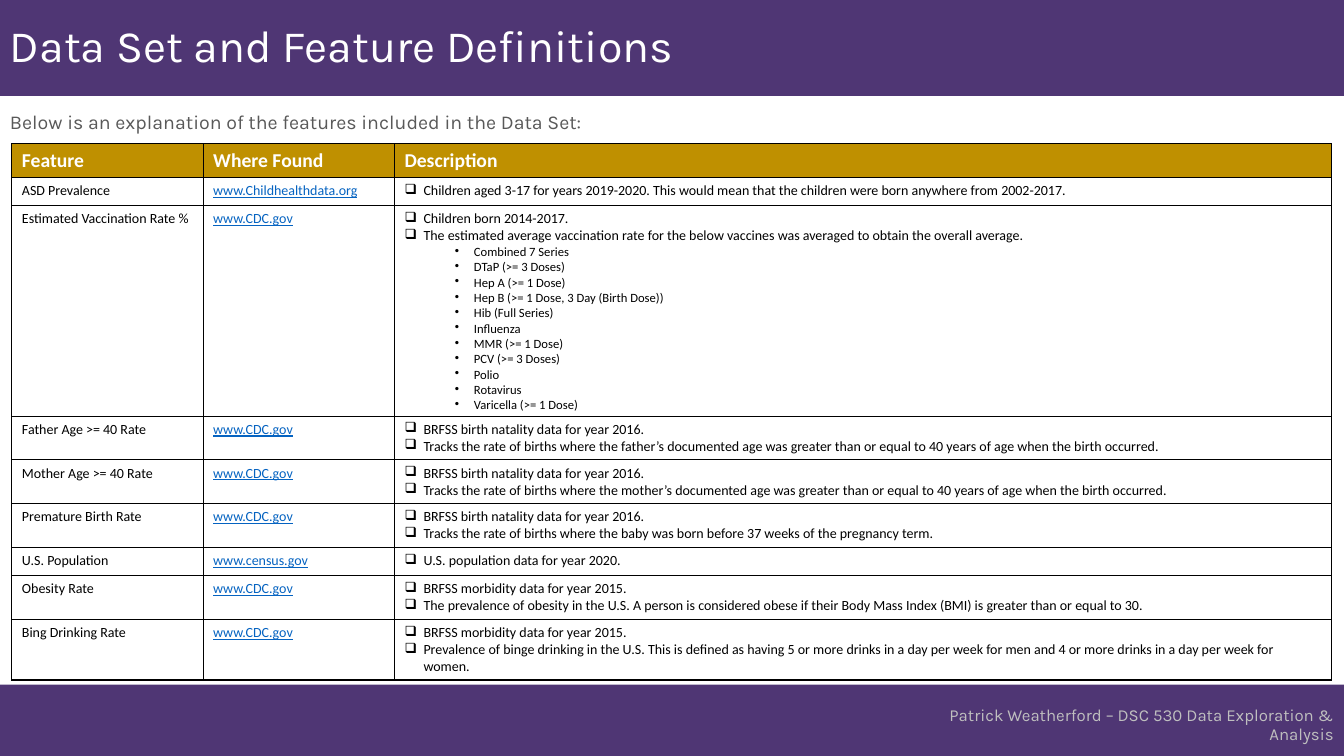
from lxml.etree import SubElement
from pptx import Presentation
from pptx.dml.color import RGBColor
from pptx.enum.shapes import MSO_SHAPE as Shape
from pptx.enum.text import MSO_ANCHOR as Anchor, PP_ALIGN as Align
from pptx.oxml.ns import qn
from pptx.util import Cm, Pt

PURPLE, GOLD, WHITE, BLACK = "4F3674", "BF9000", "FFFFFF", "000000"
GREY, SILVER, LINK = "595959", "BFBFBF", "0563C1"
WIDTH, HEIGHT = 33.87, 19.05

HEADINGS = ["Feature", "Where Found", "Description"]
COLUMN_WIDTHS = [4.82, 4.82, 23.62]
ROW_HEIGHTS = [0.85, 0.71, 5.2, 1.1, 1.1, 1.1, 0.71, 1.1, 1.5]
CDC = "www.CDC.gov"
NATALITY = "BRFSS birth natality data for year 2016."
MORBIDITY = "BRFSS morbidity data for year 2015."
VACCINES = [
    "Combined 7 Series", "DTaP (>= 3 Doses)", "Hep A (>= 1 Dose)",
    "Hep B (>= 1 Dose, 3 Day (Birth Dose))", "Hib (Full Series)", "Influenza",
    "MMR (>= 1 Dose)", "PCV (>= 3 Doses)", "Polio", "Rotavirus",
    "Varicella (>= 1 Dose)",
]


def parent_age(parent):
    return (f"Tracks the rate of births where the {parent}’s documented age was greater "
            "than or equal to 40 years of age when the birth occurred.")


# Feature, source, main points, sub-points
FEATURES = [
    ("ASD Prevalence", "www.Childhealthdata.org",
     ["Children aged 3-17 for years 2019-2020. This would mean that the children "
      "were born anywhere from 2002-2017."], []),
    ("Estimated Vaccination Rate %", CDC,
     ["Children born 2014-2017.",
      "The estimated average vaccination rate for the below vaccines was averaged "
      "to obtain the overall average."], VACCINES),
    ("Father Age >= 40 Rate", CDC, [NATALITY, parent_age("father")], []),
    ("Mother Age >= 40 Rate", CDC, [NATALITY, parent_age("mother")], []),
    ("Premature Birth Rate", CDC,
     [NATALITY, "Tracks the rate of births where the baby was born before 37 weeks "
      "of the pregnancy term."], []),
    ("U.S. Population", "www.census.gov", ["U.S. population data for year 2020."], []),
    ("Obesity Rate", CDC,
     [MORBIDITY, "The prevalence of obesity in the U.S. A person is considered obese "
      "if their Body Mass Index (BMI) is greater than or equal to 30."], []),
    ("Bing Drinking Rate", CDC,
     [MORBIDITY, "Prevalence of binge drinking in the U.S. This is defined as having "
      "5 or more drinks in a day per week for men and 4 or more drinks in a day per "
      "week for women."], []),
]


def color(value):
    return RGBColor.from_string(value)


class SlideBuilder:
    heading_font = "Karla"
    table_font = "Calibri"

    def __init__(self, page):
        self.page = page

    def band(self, top, height):
        box = self.page.shapes.add_shape(
            Shape.RECTANGLE, Cm(0), Cm(top), Cm(WIDTH), Cm(height))
        box.shadow.inherit = False
        box.fill.solid()
        box.fill.fore_color.rgb = color(PURPLE)
        box.line.fill.background()

    def span(self, para, text, size, ink, font, bold=False, underline=False):
        span = para.add_run()
        span.text = text
        span.font.name = font
        span.font.size = Pt(size)
        span.font.color.rgb = color(ink)
        span.font.bold = bold
        span.font.underline = underline

    def text(self, text, left, top, width, height, size, ink,
             align=Align.LEFT, anchor=Anchor.TOP):
        box = self.page.shapes.add_textbox(Cm(left), Cm(top), Cm(width), Cm(height))
        box.text_frame.word_wrap = True
        box.text_frame.vertical_anchor = anchor
        para = box.text_frame.paragraphs[0]
        para.alignment = align
        para.line_spacing = 0.9
        self.span(para, text, size, ink, self.heading_font)

    def table(self, left, top, widths, heights):
        table = self.page.shapes.add_table(
            len(heights), len(widths), Cm(left), Cm(top),
            Cm(sum(widths)), Cm(sum(heights))).table
        table.horz_banding = False
        for column, width in zip(table.columns, widths):
            column.width = Cm(width)
        for row, height in zip(table.rows, heights):
            row.height = Cm(height)
        for cell in table.iter_cells():
            self.borders(cell)
            cell.fill.background()
        return table

    def borders(self, cell):
        properties = cell._tc.get_or_add_tcPr()
        for side in ("a:lnL", "a:lnR", "a:lnT", "a:lnB"):
            line = SubElement(properties, qn(side), w=str(Pt(1)))
            fill = SubElement(line, qn("a:solidFill"))
            SubElement(fill, qn("a:srgbClr"), val=BLACK)

    def heading_cell(self, cell, text):
        cell.fill.solid()
        cell.fill.fore_color.rgb = color(GOLD)
        self.span(cell.text_frame.paragraphs[0], text, 14, WHITE,
                  self.table_font, bold=True)

    def plain_cell(self, cell, text, ink=BLACK, underline=False):
        self.span(cell.text_frame.paragraphs[0], text, 10, ink,
                  self.table_font, underline=underline)

    def bullet_cell(self, cell, points, subpoints):
        frame = cell.text_frame
        items = [(0, point) for point in points] + [(1, point) for point in subpoints]
        for index, (level, point) in enumerate(items):
            para = frame.add_paragraph() if index else frame.paragraphs[0]
            para.level = level
            properties = para._p.get_or_add_pPr()
            properties.set("marL", str(Cm((0.48, 1.75)[level])))
            properties.set("indent", str(Cm(-0.48)))
            SubElement(properties, qn("a:buChar"), char="❑•"[level])
            self.span(para, point, 10 - level, BLACK, self.table_font)


def main():
    deck = Presentation()
    deck.slide_width, deck.slide_height = Cm(WIDTH), Cm(HEIGHT)
    builder = SlideBuilder(deck.slides.add_slide(deck.slide_layouts[6]))

    # Header and footer bands
    builder.band(0, 2.42)
    builder.band(17.25, HEIGHT - 17.25)

    # Title and introduction
    builder.text("Data Set and Feature Definitions", 0, 0, WIDTH, 2.42, 32, WHITE,
                 anchor=Anchor.MIDDLE)
    builder.text("Below is an explanation of the features included in the Data Set:",
                 0, 2.72, WIDTH, 0.85, 14, GREY)

    # Feature table
    table = builder.table(0.3, 3.62, COLUMN_WIDTHS, ROW_HEIGHTS)
    for column, heading in enumerate(HEADINGS):
        builder.heading_cell(table.cell(0, column), heading)
    for row, (feature, source, points, subpoints) in enumerate(FEATURES, start=1):
        builder.plain_cell(table.cell(row, 0), feature)
        builder.plain_cell(table.cell(row, 1), source, LINK, underline=True)
        builder.bullet_cell(table.cell(row, 2), points, subpoints)

    # Footer text
    builder.text("Patrick Weatherford – DSC 530 Data Exploration & Analysis",
                 22.23, 17.7, 11.63, 0.9, 12, SILVER, align=Align.RIGHT)

    deck.save("out.pptx")


if __name__ == "__main__":
    main()
